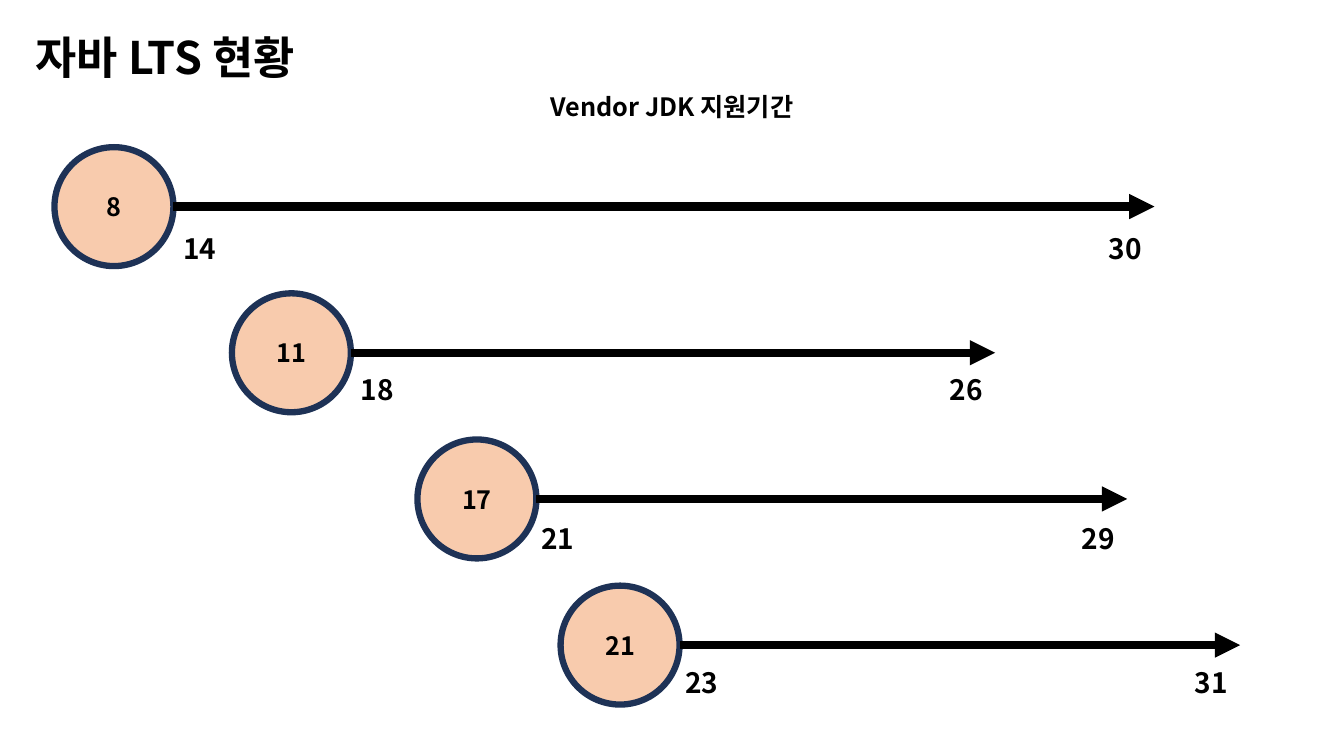
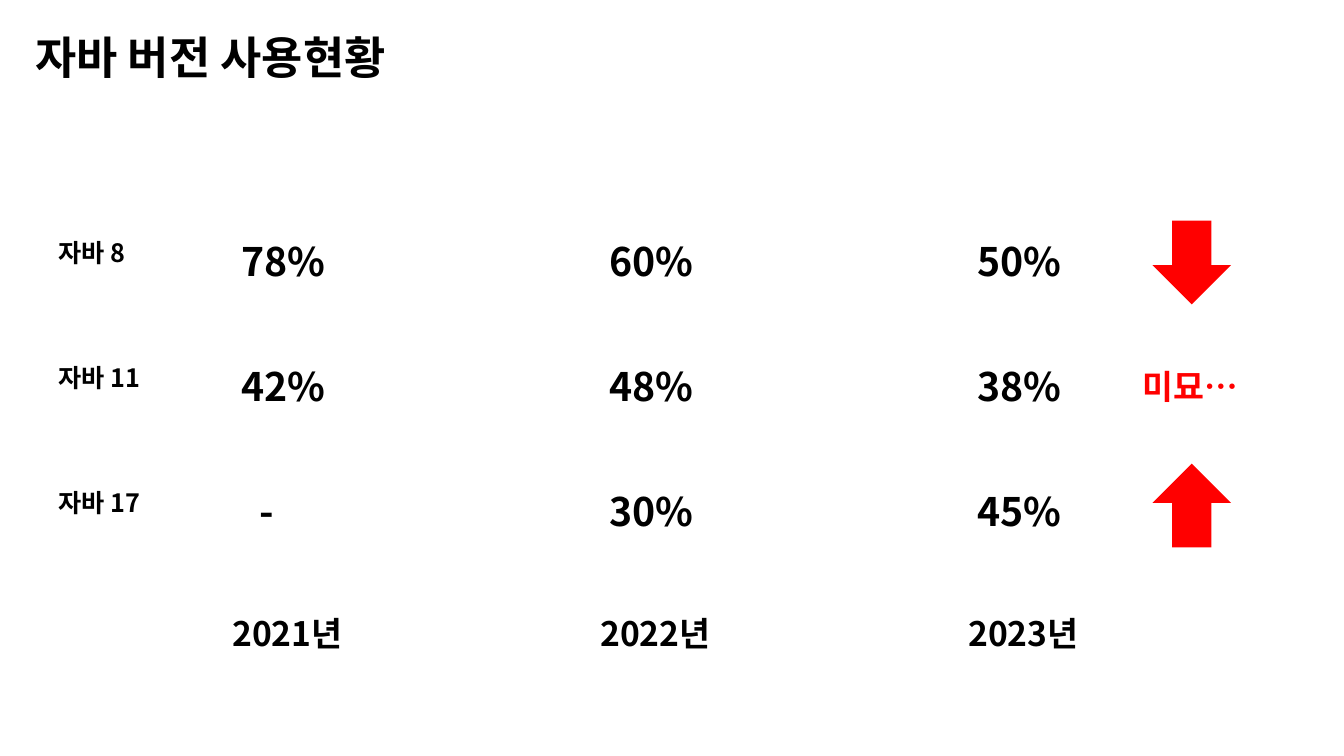
from lxml import etree
from pptx import Presentation
from pptx.dml.color import RGBColor
from pptx.enum.shapes import MSO_CONNECTOR as LINE, MSO_SHAPE as SHAPE
from pptx.enum.text import MSO_ANCHOR as ANCHOR, MSO_AUTO_SIZE as AUTO, PP_ALIGN as ALIGN
from pptx.oxml.ns import qn
from pptx.util import Inches, Pt

FONT = "Noto Sans CJK KR"
BLACK, NAVY, PEACH, RED = "000000", "1E3256", "F8CBAD", "FF0000"

LTS_TITLE = "자바 LTS 현황"
LTS_SUBTITLE = "Vendor JDK 지원기간"
RELEASES = [
    {"version": "8", "left": 0.54, "arrow_end": 11.45, "years": ("14", "30"), "label_x": 1.72, "label_y": 2.25},
    {"version": "11", "left": 2.3, "arrow_end": 9.87, "years": ("18", "26"), "label_x": 3.48, "label_y": 3.65},
    {"version": "17", "left": 4.14, "arrow_end": 11.18, "years": ("21", "29"), "label_x": 5.27, "label_y": 5.12},
    {"version": "21", "left": 5.56, "arrow_end": 12.3, "years": ("23", "31"), "label_x": 6.7, "label_y": 6.55},
]
CIRCLE, CIRCLE_TOP, CIRCLE_PITCH, YEAR_W = 1.18, 1.46, 1.45, 0.55

USAGE_TITLE = "자바 버전 사용현황"
YEARS = ["2021년", "2022년", "2023년"]
USAGE = [
    ("자바 8", ["78%", "60%", "50%"]),
    ("자바 11", ["42%", "48%", "38%"]),
    ("자바 17", ["-", "30%", "45%"]),
]
COL_LEFT, COL_PITCH, CELL_W = 2.3, 3.65, 1.16
ROW_TOP, ROW_PITCH = 2.31, 1.24
YEAR_CELL_W, YEAR_TOP = 1.4, 6.03
TRENDS = [(SHAPE.DOWN_ARROW, 2.19), (SHAPE.UP_ARROW, 4.6)]
UNCLEAR = "미묘…"


def rgb(color):
    return RGBColor.from_string(color)


def write(sp, text, size, color=BLACK, align=ALIGN.LEFT, anchor=ANCHOR.TOP):
    tf = sp.text_frame
    tf.text = text
    tf.word_wrap = True
    tf.vertical_anchor = anchor
    p = tf.paragraphs[0]
    p.alignment = align
    for r in p.runs:
        r.font.name = FONT
        r.font.size = Pt(size)
        r.font.bold = True
        r.font.color.rgb = rgb(color)
        etree.SubElement(r.font._element, qn("a:ea"), typeface=FONT)


def add_text(s, text, x, y, w, h, size, **style):
    sp = s.shapes.add_textbox(Inches(x), Inches(y), Inches(w), Inches(h))
    write(sp, text, size, **style)
    sp.text_frame.auto_size = AUTO.SHAPE_TO_FIT_TEXT
    return sp


def add_shape(s, kind, x, y, w, h, fill, line=None, line_width=0):
    sp = s.shapes.add_shape(kind, Inches(x), Inches(y), Inches(w), Inches(h))
    sp.shadow.inherit = False
    sp.fill.solid()
    sp.fill.fore_color.rgb = rgb(fill)
    if line:
        sp.line.color.rgb = rgb(line)
        sp.line.width = Pt(line_width)
    else:
        sp.line.fill.background()
    return sp


def add_arrow(s, x1, x2, y):
    arrow = s.shapes.add_connector(LINE.STRAIGHT, Inches(x1), Inches(y), Inches(x2), Inches(y))
    arrow.line.color.rgb = rgb(BLACK)
    arrow.line.width = Pt(6)
    etree.SubElement(arrow.line._get_or_add_ln(), qn("a:tailEnd"), type="triangle")
    etree.SubElement(arrow._element.spPr, qn("a:effectLst"))


def add_slide(prs, title):
    s = prs.slides.add_slide(prs.slide_layouts[5])
    sp = s.shapes.title
    sp.left, sp.top, sp.width, sp.height = Inches(0.25), Inches(0.24), Inches(4.85), Inches(0.64)
    write(sp, title, 32)
    sp.text_frame.auto_size = AUTO.SHAPE_TO_FIT_TEXT
    return s


def build_lts(prs):
    s = add_slide(prs, LTS_TITLE)
    add_text(s, LTS_SUBTITLE, 5.3, 0.86, 2.73, 0.4, 18, align=ALIGN.CENTER)
    for i, release in enumerate(RELEASES):
        left, end, top = release["left"], release["arrow_end"], CIRCLE_TOP + i * CIRCLE_PITCH
        circle = add_shape(s, SHAPE.OVAL, left, top, CIRCLE, CIRCLE, PEACH, NAVY, 4.5)
        write(circle, release["version"], 18, align=ALIGN.CENTER, anchor=ANCHOR.MIDDLE)
        add_arrow(s, left + CIRCLE, end, top + CIRCLE / 2)
        for year, x in zip(release["years"], (release["label_x"], end - YEAR_W)):
            add_text(s, year, x, release["label_y"], YEAR_W, 0.44, 20)


def build_usage(prs):
    s = add_slide(prs, USAGE_TITLE)
    columns = [COL_LEFT + i * COL_PITCH for i in range(len(YEARS))]
    for x, year in zip(columns, YEARS):
        add_text(s, year, x - (YEAR_CELL_W - CELL_W) / 2 - 0.03, YEAR_TOP, YEAR_CELL_W, 0.5, 24,
                 align=ALIGN.CENTER)
    for i, (version, shares) in enumerate(USAGE):
        y = ROW_TOP + i * ROW_PITCH
        add_text(s, version, 0.48, y, CELL_W, 0.4, 18)
        for x, share in zip(columns, shares):
            cell = add_text(s, share, x, y, CELL_W, 0.57, 28)
            if share == "-":
                cell.text_frame.margin_left = Inches(0.27)
    for kind, y in TRENDS:
        add_shape(s, kind, 11.43, y, 0.78, 0.83, RED)
    add_text(s, UNCLEAR, 11.11, 3.58, 1.4, 0.5, 24, color=RED, align=ALIGN.CENTER)


def main():
    prs = Presentation()
    prs.slide_width, prs.slide_height = Inches(13.33), Inches(7.5)
    build_lts(prs)
    build_usage(prs)
    prs.save("out.pptx")


if __name__ == "__main__":
    main()
